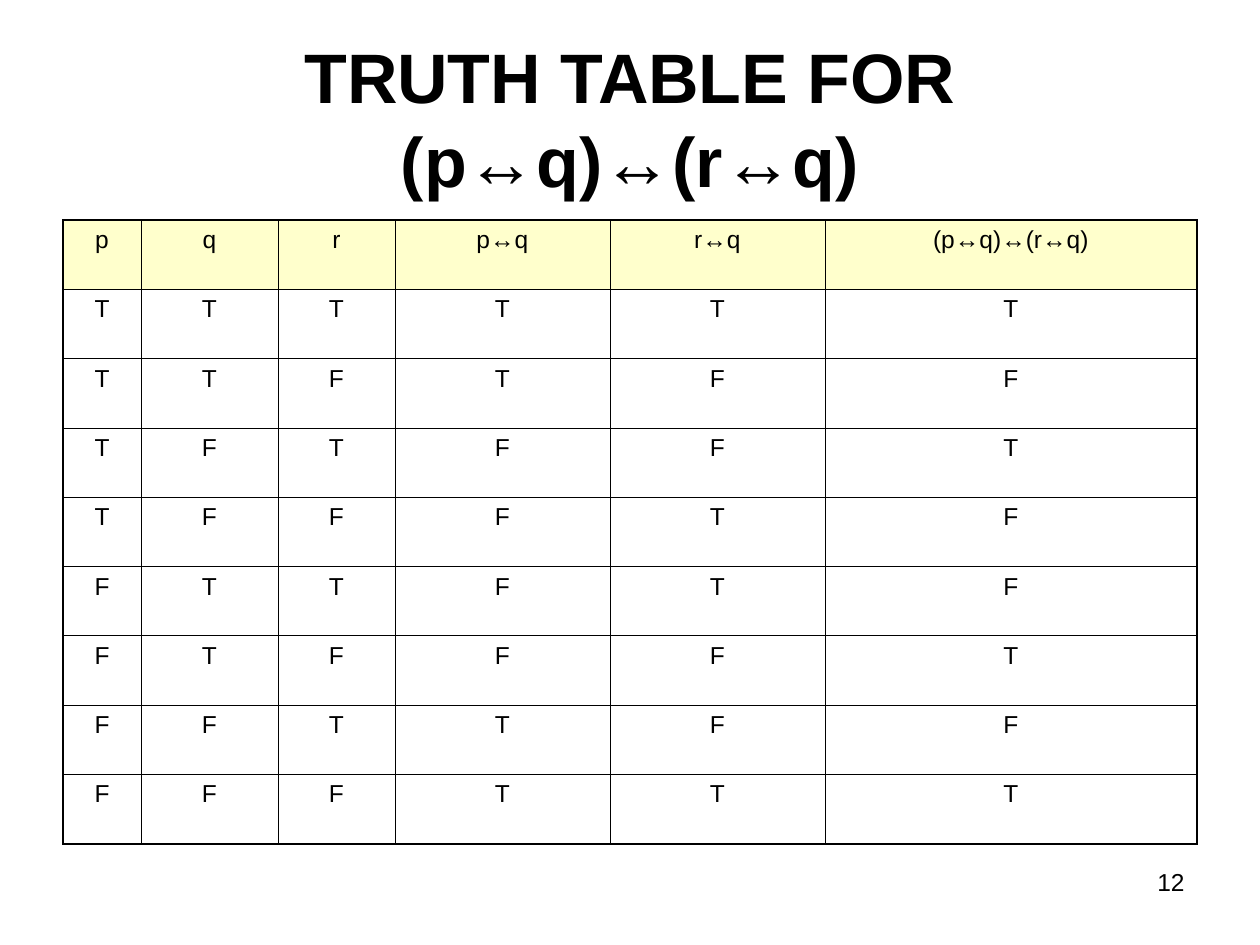
"""Build a slide with the truth table for (p↔q)↔(r↔q)."""
from itertools import product
from lxml.etree import SubElement
from pptx import Presentation
from pptx.dml.color import RGBColor
from pptx.enum.text import MSO_ANCHOR, PP_ALIGN
from pptx.oxml.ns import qn
from pptx.util import Emu, Pt

COLORS = {"ink": "000000", "head": "FFFFCC"}
SCALE = 914400 / 126
THIN, THICK = Pt(0.45), Pt(1.08)


def px(num):
    return Emu(round(num * SCALE))


def write(frame, text, size, align, bold=False):
    frame.text = text
    para = frame.paragraphs[0]
    para.alignment = align
    para.font.name = "Arial"
    para.font.size = Pt(size)
    para.font.bold = bold
    para.font.color.rgb = RGBColor.from_string(COLORS["ink"])


deck = Presentation()
deck.slide_width, deck.slide_height = px(1260), px(945)
slide = deck.slides.add_slide(deck.slide_layouts[6])

texts = [
    ("12", (903, 861, 294, 66), 14, PP_ALIGN.RIGHT, False, MSO_ANCHOR.TOP),
    ("TRUTH TABLE FOR\v(p↔q)↔(r↔q)", (63, 38, 1134, 158), 40,
     PP_ALIGN.CENTER, True, MSO_ANCHOR.MIDDLE),
]
for text, place, size, align, bold, anchor in texts:
    frame = slide.shapes.add_textbox(*map(px, place)).text_frame
    frame.word_wrap = True
    frame.vertical_anchor = anchor
    write(frame, text, size, align, bold)

rows = [["p", "q", "r", "p↔q", "r↔q", "(p↔q)↔(r↔q)"]]
for p, q, r in product([True, False], repeat=3):
    left, right = p == q, r == q
    rows.append(["T" if val else "F"
                 for val in (p, q, r, left, right, left == right)])

widths = [78, 137, 117, 215, 215, 372]
table = slide.shapes.add_table(len(rows), len(widths), px(63), px(220),
                               px(sum(widths)), px(624)).table
table.first_row = table.horz_banding = False
for col, width in zip(table.columns, widths):
    col.width = px(width)

for i, row in enumerate(rows):
    for j, text in enumerate(row):
        cell = table.cell(i, j)
        write(cell.text_frame, text, 14, PP_ALIGN.CENTER)
        edges = {"L": j == 0, "R": j == len(widths) - 1,
                 "T": i == 0, "B": i == len(rows) - 1}
        props = cell._tc.get_or_add_tcPr()
        for side, outer in edges.items():
            line = SubElement(props, qn(f"a:ln{side}"),
                              w=str(THICK if outer else THIN))
            paint = SubElement(line, qn("a:solidFill"))
            SubElement(paint, qn("a:srgbClr"), val=COLORS["ink"])
        if i == 0:
            cell.fill.solid()
            cell.fill.fore_color.rgb = RGBColor.from_string(COLORS["head"])
        else:
            cell.fill.background()

deck.save("out.pptx")
